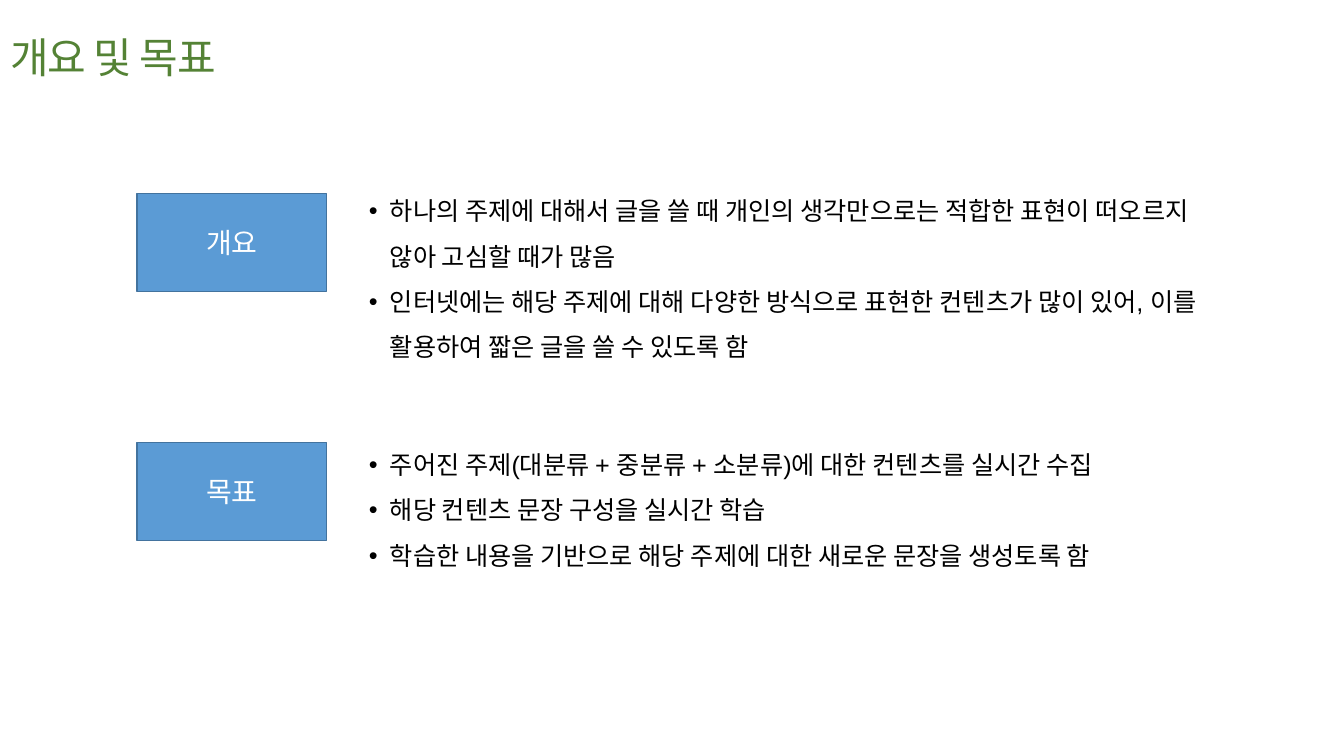
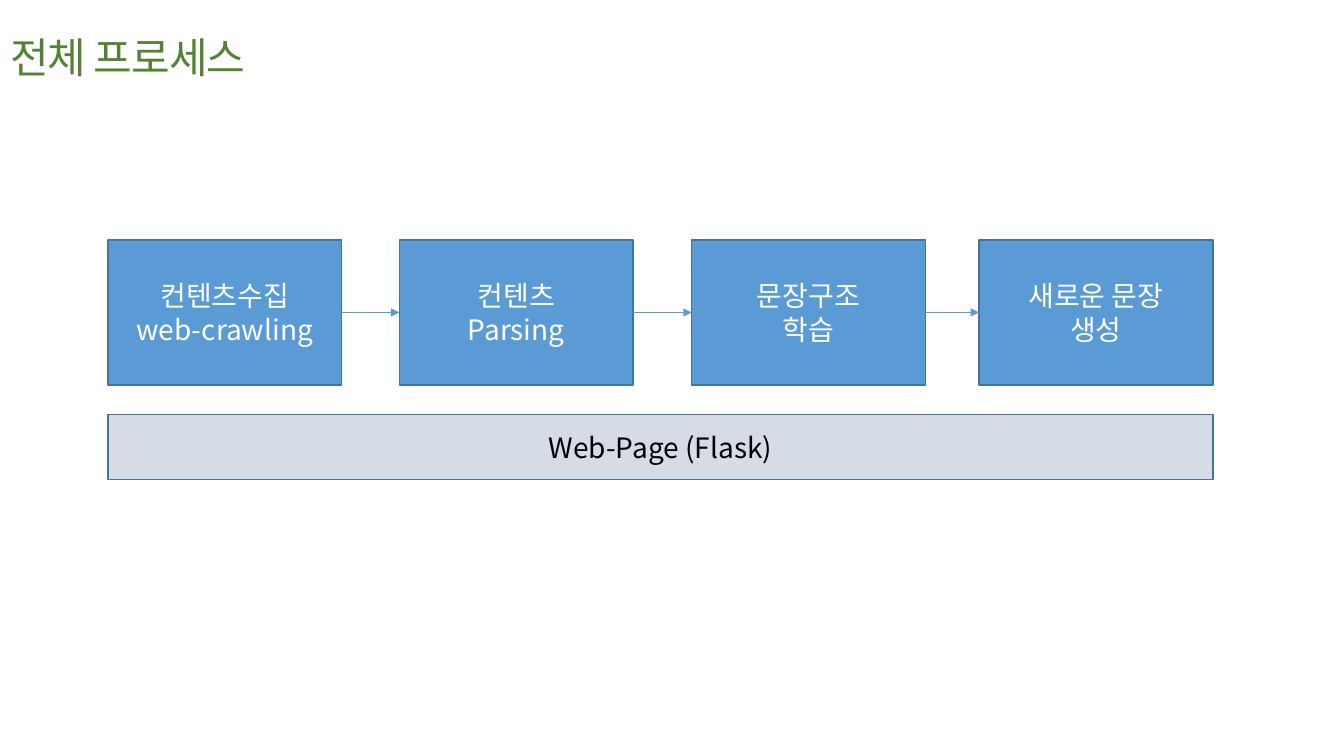
from itertools import pairwise

from lxml.etree import SubElement
from pptx import Presentation
from pptx.dml.color import RGBColor
from pptx.enum.shapes import MSO_CONNECTOR, MSO_SHAPE
from pptx.enum.text import MSO_ANCHOR, MSO_AUTO_SIZE, PP_ALIGN
from pptx.oxml.ns import qn
from pptx.util import Emu, Pt

EMU_PER_PX = 9144
SLIDE_WIDTH, SLIDE_HEIGHT = 1333, 750
TITLE_ONLY = 5

GREEN, BLUE, NAVY = "548235", "5B9BD5", "43739E"
GREY, WHITE, BLACK = "D6DCE5", "FFFFFF", "000000"
BODY_FONT, BOX_FONT = "Arial", "Noto Sans CJK KR"


def px(length):
    return Emu(length * EMU_PER_PX)


def color(hex_string):
    return RGBColor.from_string(hex_string)


class Board:
    """Holds the deck's style and the slide being drawn."""

    def __init__(self):
        self.deck = Presentation()
        self.deck.slide_width = px(SLIDE_WIDTH)
        self.deck.slide_height = px(SLIDE_HEIGHT)
        self.page = None

    def style(self, para, font_name, size, hex_string, align=PP_ALIGN.LEFT):
        para.alignment = align
        font = para.font
        font.name, font.size = font_name, Pt(size)
        font.color.rgb = color(hex_string)
        properties = para._p.pPr.find(qn("a:defRPr"))
        SubElement(properties, qn("a:ea"), typeface=BOX_FONT)
        return properties

    def add_page(self, title):
        self.page = self.deck.slides.add_slide(self.deck.slide_layouts[TITLE_ONLY])
        box = self.page.shapes.title
        box.left, box.top, box.width, box.height = map(px, (0, 26, SLIDE_WIDTH, 61))
        frame = box.text_frame
        frame.text = title
        frame.auto_size = MSO_AUTO_SIZE.NONE
        frame.vertical_anchor = MSO_ANCHOR.MIDDLE
        properties = self.style(frame.paragraphs[0], BODY_FONT, 30, GREEN)
        properties.set("spc", "-70")

    def rectangle(self, left, top, width, height, fill):
        box = self.page.shapes.add_shape(
            MSO_SHAPE.RECTANGLE, px(left), px(top), px(width), px(height))
        box.shadow.inherit = False
        box.fill.solid()
        box.fill.fore_color.rgb = color(fill)
        box.text_frame.word_wrap = True
        return box

    def label_box(self, left, top, width, height, text, fill=BLUE, ink=WHITE):
        box = self.rectangle(left, top, width, height, fill)
        box.line.color.rgb = color(NAVY)
        box.line.width = Pt(1)
        box.text_frame.vertical_anchor = MSO_ANCHOR.MIDDLE
        para = box.text_frame.paragraphs[0]
        para.text = text
        self.style(para, BOX_FONT, 20, ink, PP_ALIGN.CENTER)
        return box

    def bullet_box(self, left, top, width, height, items):
        box = self.rectangle(left, top, width, height, WHITE)
        box.line.fill.background()
        frame = box.text_frame
        frame.vertical_anchor = MSO_ANCHOR.TOP
        frame.text = "\n".join(items)
        for para in frame.paragraphs:
            para.line_spacing = 1.5
            self.style(para, BODY_FONT, 18, BLACK)
            properties = para._p.pPr
            properties.set("marL", str(px(31)))
            properties.set("indent", str(px(-21)))
            default_font = properties.find(qn("a:defRPr"))
            for tag, name, value in (("a:buFont", "typeface", BODY_FONT),
                                     ("a:buChar", "char", "•")):
                bullet = SubElement(properties, qn(tag))
                bullet.set(name, value)
                default_font.addprevious(bullet)

    def arrow(self, source, target):
        """Join the right side of source to the left side of target."""
        line = self.page.shapes.add_connector(MSO_CONNECTOR.STRAIGHT, 0, 0, 0, 0)
        line.begin_connect(source, 3)
        line.end_connect(target, 1)
        line.line.color.rgb = color(BLUE)
        line.line.width = Pt(0.5)
        SubElement(line.line._get_or_add_ln(), qn("a:tailEnd"), type="triangle")
        SubElement(line._element.spPr, qn("a:effectLst"))


def overview(board):
    board.add_page("개요 및 목표")
    sections = (
        (192, 174, "개요", (
            "하나의 주제에 대해서 글을 쓸 때 개인의 생각만으로는 적합한 표현이 떠오르지 않아 고심할 때가 많음",
            "인터넷에는 해당 주제에 대해 다양한 방식으로 표현한 컨텐츠가 많이 있어, 이를 활용하여 짧은 글을 쓸 수 있도록 함")),
        (439, 426, "목표", (
            "주어진 주제(대분류 + 중분류 + 소분류)에 대한 컨텐츠를 실시간 수집",
            "해당 컨텐츠 문장 구성을 실시간 학습",
            "학습한 내용을 기반으로 해당 주제에 대한 새로운 문장을 생성토록 함")),
    )
    for label_top, bullets_top, label, items in sections:
        board.bullet_box(346, bullets_top, 893, 200, items)
        board.label_box(136, label_top, 188, 97, label)


def process(board):
    board.add_page("전체 프로세스")
    steps = ((107, "컨텐츠수집\nweb-crawling"), (396, "컨텐츠\nParsing"),
             (686, "문장구조\n학습"), (971, "새로운 문장\n생성"))
    boxes = [board.label_box(left, 238, 232, 144, text) for left, text in steps]
    for source, target in pairwise(boxes):
        board.arrow(source, target)
    board.label_box(107, 411, 1096, 65, "Web-Page (Flask)", GREY, BLACK)


def main():
    board = Board()
    overview(board)
    process(board)
    board.deck.save("out.pptx")


if __name__ == "__main__":
    main()
